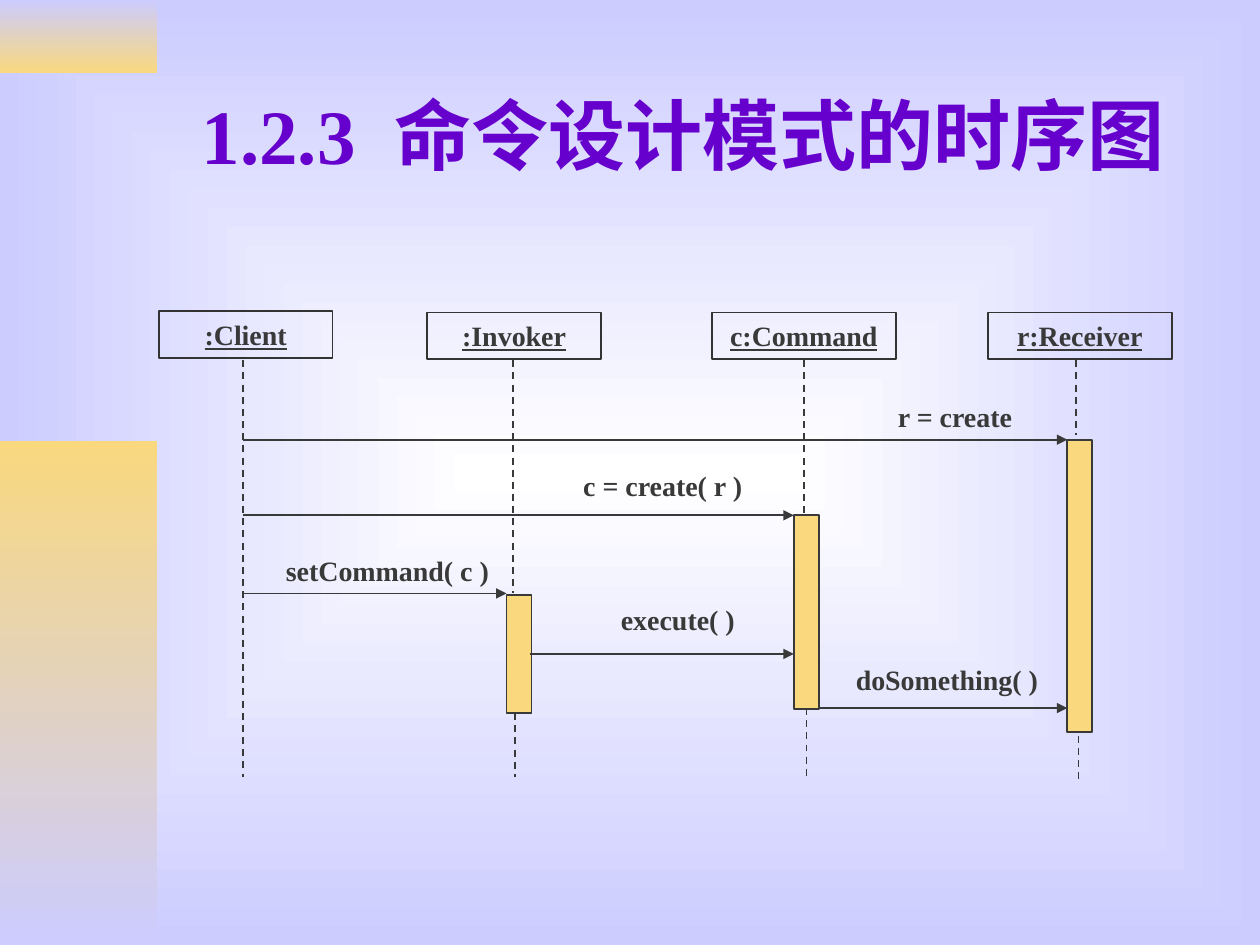
"""Build a slide with the sequence diagram of the command design pattern."""
from lxml import etree
from pptx import Presentation
from pptx import util as u
from pptx.dml.color import RGBColor
from pptx.enum import dml, shapes, text
from pptx.oxml.ns import qn

FONT, INK, EDGE = "Times New Roman", "393939", "333333"
GOLD, LILAC, VIOLET, WHITE = "F9D87E", "CCCCFF", "6600CC", "FFFFFF"


def tint(code):
    """Turn a hex string into a colour."""
    return RGBColor.from_string(code)


class Board:
    """Draw on one slide, on a grid of 100 columns by 75 rows."""

    def __init__(self, deck):
        """Add a title-only slide to the deck."""
        self.slide = deck.slides.add_slide(deck.slide_layouts[5])
        self.wide, self.high = deck.slide_width / 100, deck.slide_height / 75

    def place(self, *cells):
        """Turn columns and rows, taken in turn, into lengths."""
        return [round(c * (self.high if i % 2 else self.wide)) for i, c in enumerate(cells)]

    def blend(self, fill, first, last):
        """Set a gradient of two colours."""
        fill.gradient()
        for stop, code in zip(fill.gradient_stops, (first, last)):
            stop.color.rgb = tint(code)

    def ground(self, core, rim):
        """Fill the background from its centre outwards."""
        self.blend(self.slide.background.fill, core, rim)
        grad = self.slide.element.find(".//" + qn("a:gradFill"))
        grad.remove(grad.find(qn("a:lin")))
        ring = etree.SubElement(grad, qn("a:path"), {"path": "rect"})
        etree.SubElement(ring, qn("a:fillToRect"), dict.fromkeys("ltrb", "50000"))

    def words(self, par, words, size, hue, line=None):
        """Add one bold run to a paragraph."""
        run = par.add_run()
        run.text = words
        font = run.font
        font.name, font.size, font.bold, font.underline = FONT, u.Pt(size), True, line
        font.color.rgb = tint(hue)
        return run

    def frame(self, item):
        """Set margins and anchor of a shape's text and return its paragraph."""
        body = item.text_frame
        body.word_wrap, body.vertical_anchor = True, text.MSO_ANCHOR.MIDDLE
        body.margin_left = body.margin_right = u.Inches(0.1)
        body.margin_top = body.margin_bottom = u.Inches(0.05)
        return body.paragraphs[0]

    def title(self, spot, head, tail):
        """Place the title, with a widened space between its two parts."""
        item = self.slide.shapes.title
        item.left, item.top, item.width, item.height = self.place(*spot)
        par = self.frame(item)
        par.alignment = text.PP_ALIGN.LEFT
        self.words(par, head, 44, VIOLET)
        gap = self.words(par, " ", 44, VIOLET)
        gap.font._element.set("spc", "1100")
        self.words(par, tail, 44, VIOLET)

    def rect(self, spot, fill=None, edge=None):
        """Draw a rectangle with no fill, one colour or a blend of two."""
        item = self.slide.shapes.add_shape(shapes.MSO_SHAPE.RECTANGLE, *self.place(*spot))
        item.shadow.inherit = False
        if isinstance(fill, tuple):
            self.blend(item.fill, *fill)
            item.fill.gradient_angle = 270
        elif fill:
            item.fill.solid()
            item.fill.fore_color.rgb = tint(fill)
        else:
            item.fill.background()
        if edge:
            item.line.color.rgb, item.line.width = tint(edge), u.Pt(1)
        else:
            item.line.fill.background()
        return item

    def head(self, spot, name):
        """Draw the named box of a lifeline."""
        par = self.frame(self.rect(spot, edge=EDGE))
        par.alignment = text.PP_ALIGN.CENTER
        self.words(par, name, 16, INK, True)

    def label(self, spot, name):
        """Add the name of a message."""
        par = self.frame(self.slide.shapes.add_textbox(*self.place(*spot)))
        par.alignment = text.PP_ALIGN.CENTER
        self.words(par, name, 16, INK)

    def wire(self, ends, dash=False):
        """Draw a dashed lifeline or a message arrow."""
        item = self.slide.shapes.add_connector(shapes.MSO_CONNECTOR.STRAIGHT, *self.place(*ends))
        item.line.color.rgb, item.line.width = tint(INK), u.Pt(1)
        props = item.element.find(qn("p:spPr"))
        if dash:
            item.line.dash_style = dml.MSO_LINE.DASH
        else:
            etree.SubElement(props.find(qn("a:ln")), qn("a:tailEnd"), {"type": "triangle"})
        etree.SubElement(props, qn("a:effectLst"))


def main():
    """Draw the slide and save it."""
    deck = Presentation()
    deck.slide_width, deck.slide_height = u.Inches(10), u.Inches(7.5)
    board = Board(deck)
    board.ground(WHITE, LILAC)
    board.rect((0, 0, 12.5, 5.8), (LILAC, GOLD))
    board.rect((0, 35, 12.5, 40), (GOLD, LILAC))
    board.title((15, 4, 85, 13.2), "1.2.3", "命令设计模式的时序图")

    tall = 3.7
    heads = [(":Client", 12.6, 24.7, 13.8), (":Invoker", 33.9, 24.8, 13.8),
             ("c:Command", 56.5, 24.8, 14.6), ("r:Receiver", 78.4, 24.8, 14.6)]
    for name, left, top, wide in heads:
        board.head((left, top, wide, tall), name)

    lives = [(19.3, 28.6, 61.7), (40.7, 28.6, 47.1), (63.8, 28.6, 40.9), (85.4, 28.6, 34.5),
             (40.9, 56.6, 61.7), (64, 56.2, 61.7), (85.6, 58.4, 61.9)]
    for col, top, end in lives:
        board.wire((col, top, col, end), True)

    for left, top, high in [(40.2, 47.2, 9.4), (63, 40.9, 15.4), (84.7, 34.9, 23.2)]:
        board.rect((left, top, 2, high), GOLD, INK)

    calls = [("r = create", 19.3, 84.7, 34.9, (69.3, 31.2, 13)),
             ("c = create( r )", 19.3, 63, 40.9, (44.9, 36.7, 15.4)),
             ("setCommand( c )", 19.3, 40.2, 47.1, (21.3, 43.4, 18.9)),
             ("execute( )", 42.1, 63, 51.9, (46.1, 47.3, 15.4)),
             ("doSomething( )", 65, 84.7, 56.2, (66.9, 52.1, 16.5))]
    for name, start, end, row, spot in calls:
        board.wire((start, row, end, row))
        board.label((*spot, tall), name)
    deck.save("out.pptx")


if __name__ == "__main__":
    main()
